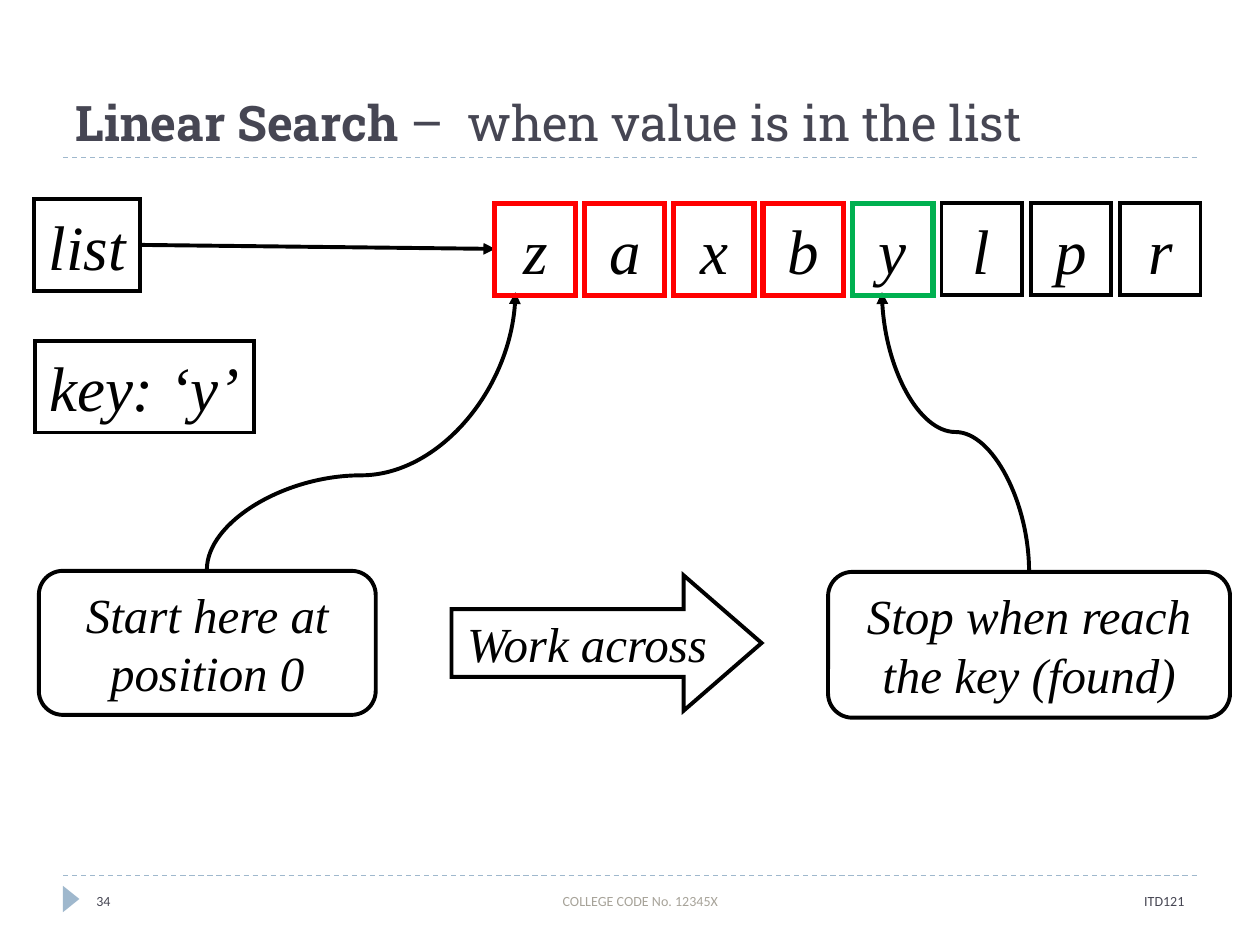
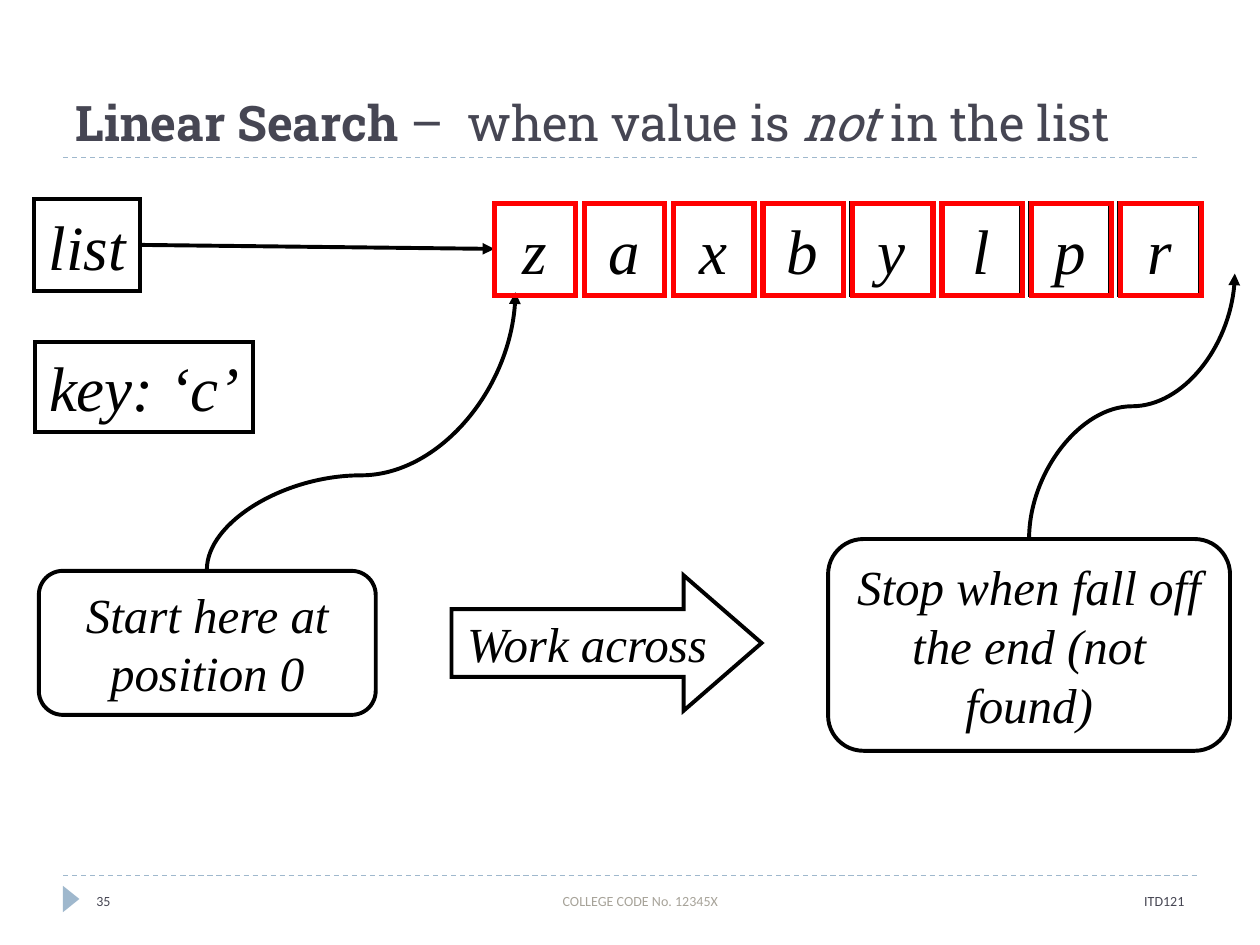
from dataclasses import dataclass

from lxml import etree
from pptx import Presentation
from pptx.dml.color import RGBColor
from pptx.enum.dml import MSO_LINE
from pptx.enum.shapes import MSO_CONNECTOR, MSO_SHAPE
from pptx.enum.text import MSO_ANCHOR, MSO_AUTO_SIZE, PP_ALIGN
from pptx.oxml.ns import qn
from pptx.util import Pt

RECT, ROUNDED = MSO_SHAPE.RECTANGLE, MSO_SHAPE.FLOWCHART_ALTERNATE_PROCESS
RIGHT_ARROW, TRIANGLE = MSO_SHAPE.RIGHT_ARROW, MSO_SHAPE.ISOSCELES_TRIANGLE
STRAIGHT, CURVE = MSO_CONNECTOR.STRAIGHT, MSO_CONNECTOR.CURVE
LEFT, CENTER, RIGHT = PP_ALIGN.LEFT, PP_ALIGN.CENTER, PP_ALIGN.RIGHT
MIDDLE, BOTTOM = MSO_ANCHOR.MIDDLE, MSO_ANCHOR.BOTTOM
NO_AUTOSIZE, DASH = MSO_AUTO_SIZE.NONE, MSO_LINE.DASH
LEFT_SIDE, RIGHT_SIDE = 1, 3

BLACK, SLATE, GREY, BLUE = "000000", "464653", "A7A399", "9FB8CD"
VISITED, FOUND = "FF0000", "00B050"
TITLE_FONT, DIAGRAM_FONT, FOOTER_FONT = "Roboto Slab", "Times New Roman", "Calibri"

LETTERS = "zaxbylpr"
CELL_TOP, CELL_WIDTH, CELL_HEIGHT, CELL_PITCH = 116, 46, 52.5, 51
MARK_LEFT, MARK_TOP, MARK_PITCH = 282.7, 116.5, 51.1


@dataclass
class Box:
    left: float
    top: float
    width: float
    height: float

    def lengths(self) -> tuple:
        return Pt(self.left), Pt(self.top), Pt(self.width), Pt(self.height)


@dataclass
class TitlePart:
    text: str
    bold: bool = False
    italic: bool = False


@dataclass
class FooterItem:
    text: str
    box: Box
    align: PP_ALIGN
    color: str = SLATE


@dataclass
class SearchSlide:
    number: str
    title: list[TitlePart]
    key: str
    key_box: Box
    cells_left: float
    marks: list[str]
    stop_text: str
    stop_box: Box
    stop_target: tuple[float, float]


SEARCHES = [
    SearchSlide(
        "34",
        [TitlePart("Linear Search ", bold=True),
         TitlePart("–  when value is in the list")],
        "key: ‘y’", Box(19.8, 194.7, 125.5, 52.5), 283,
        [VISITED] * 4 + [FOUND],
        "Stop when reach the key (found)", Box(473.2, 326.8, 229.7, 83.3), (504, 167)),
    SearchSlide(
        "35",
        [TitlePart("Linear Search ", bold=True),
         TitlePart("–  when value is "),
         TitlePart("not ", italic=True),
         TitlePart("in the list")],
        "key: ‘c’", Box(20.2, 195.2, 124.5, 51.5), 282.5,
        [VISITED] * 8,
        "Stop when fall off the end (not found)", Box(473.2, 308, 229.7, 121), (705.6, 156.3)),
]


def rgb(color: str) -> RGBColor:
    return RGBColor.from_string(color)


def style_font(run, font: str, size: float, color: str) -> None:
    run.font.name = font
    run.font.size = Pt(size)
    run.font.color.rgb = rgb(color)


def add_outline(slide, box: Box, text: str = "", kind=RECT, size: float = 36,
                color: str = BLACK, weight: float = 2.25, wrap: bool = False):
    """Draw an unfilled, sharp-cornered shape with optional centred italic text."""
    shape = slide.shapes.add_shape(kind, *box.lengths())
    shape.shadow.inherit = False
    shape.fill.background()
    shape.line.color.rgb = rgb(color)
    shape.line.width = Pt(weight)
    etree.SubElement(shape.element.spPr.find(qn("a:ln")), qn("a:miter"), lim="800000")
    if text:
        frame = shape.text_frame
        frame.text = text
        frame.word_wrap = wrap
        frame.vertical_anchor = MIDDLE
        paragraph = frame.paragraphs[0]
        paragraph.alignment = CENTER
        style_font(paragraph.runs[0], DIAGRAM_FONT, size, BLACK)
        paragraph.runs[0].font.italic = True
    return shape


def add_line(slide, kind, start: tuple, end: tuple, color: str = BLACK,
             weight: float = 2.25, arrow: bool = True):
    line = slide.shapes.add_connector(kind, *map(Pt, start + end))
    line.line.color.rgb = rgb(color)
    line.line.width = Pt(weight)
    properties = line.element.spPr
    if arrow:
        etree.SubElement(properties.find(qn("a:ln")), qn("a:tailEnd"), type="triangle")
    etree.SubElement(properties, qn("a:effectLst"))
    return line


def add_rising_curve(slide, start: tuple, end: tuple, bend: float = 0.5) -> None:
    """Draw an S-curve that leaves and arrives vertically: a level curve turned by 270°."""
    middle_x, middle_y = (start[0] + end[0]) / 2, (start[1] + end[1]) / 2
    half_rise, half_run = (start[1] - end[1]) / 2, (end[0] - start[0]) / 2
    curve = add_line(slide, CURVE, (middle_x - half_rise, middle_y - half_run),
                     (middle_x + half_rise, middle_y + half_run))
    properties = curve.element.spPr
    properties.find(qn("a:xfrm")).set("rot", str(270 * 60000))
    guides = properties.find(qn("a:prstGeom")).find(qn("a:avLst"))
    etree.SubElement(guides, qn("a:gd"), name="adj1", fmla=f"val {round(bend * 100000)}")


def add_title(slide, parts: list[TitlePart]) -> None:
    title = slide.shapes.title
    title.left, title.top, title.width, title.height = Box(36, 12.2, 648, 77.8).lengths()
    frame = title.text_frame
    frame.auto_size = NO_AUTOSIZE
    frame.word_wrap = True
    frame.vertical_anchor = BOTTOM
    paragraph = frame.paragraphs[0]
    paragraph.alignment = LEFT
    for part in parts:
        run = paragraph.add_run()
        run.text = part.text
        style_font(run, TITLE_FONT, 28, SLATE)
        run.font.bold = part.bold
        run.font.italic = part.italic


def add_frame(slide, number: str) -> None:
    """Draw the rules, the page marker and the footer shared by all slides."""
    for y in (500.4, 90):
        rule = add_line(slide, STRAIGHT, (36, y), (684, y), BLUE, 0.75, arrow=False)
        rule.line.dash_style = DASH
    marker = slide.shapes.add_shape(TRIANGLE, *Box(33.1, 509, 15.1, 9.4).lengths())
    marker.rotation = 90
    marker.shadow.inherit = False
    marker.fill.solid()
    marker.fill.fore_color.rgb = rgb(BLUE)
    marker.line.fill.background()

    footer = [
        FooterItem(number, Box(48, 500.4, 156, 28.8), LEFT),
        FooterItem("ITD121", Box(504, 500.4, 180, 28.8), RIGHT),
        FooterItem("COLLEGE CODE No. 12345X", Box(228, 500.4, 276, 28.8), CENTER, GREY),
    ]
    for item in footer:
        frame = slide.shapes.add_textbox(*item.box.lengths()).text_frame
        frame.text = item.text
        frame.word_wrap = True
        frame.vertical_anchor = MIDDLE
        paragraph = frame.paragraphs[0]
        paragraph.alignment = item.align
        style_font(paragraph.runs[0], FOOTER_FONT, 8, item.color)


def add_search(slide, search: SearchSlide) -> None:
    # List cells and the variable that refers to them
    cells = [
        add_outline(slide, Box(search.cells_left + i * CELL_PITCH, CELL_TOP,
                               CELL_WIDTH, CELL_HEIGHT), letter)
        for i, letter in enumerate(LETTERS)
    ]
    list_box = add_outline(slide, Box(19.7, 113.7, 60.5, 52.5), "list")
    reference = add_line(slide, STRAIGHT, (80.2, 139.95), (search.cells_left, 142.25))
    reference.begin_connect(list_box, RIGHT_SIDE)
    reference.end_connect(cells[0], LEFT_SIDE)
    add_outline(slide, search.key_box, search.key)

    # Start, direction and stop of the search
    add_outline(slide, Box(22.2, 326.2, 192.5, 82.3), "Start here at position 0",
                ROUNDED, 28, wrap=True)
    add_rising_curve(slide, (118.2, 325.5), (294.5, 167), bend=0.34)
    across = add_outline(slide, Box(258, 328.8, 177.2, 77.3), "Work across", RIGHT_ARROW, 28)
    across.adjustments[0], across.adjustments[1] = 0.5, 0.576
    stop = search.stop_box
    add_outline(slide, stop, search.stop_text, ROUNDED, 28, wrap=True)
    add_rising_curve(slide, (stop.left + stop.width / 2, stop.top), search.stop_target)

    # Marks on the cells already compared
    for i, color in enumerate(search.marks):
        add_outline(slide, Box(MARK_LEFT + i * MARK_PITCH, MARK_TOP, CELL_WIDTH, CELL_HEIGHT),
                    color=color, weight=3)


def main() -> None:
    deck = Presentation()
    deck.slide_width, deck.slide_height = Pt(720), Pt(540)
    title_only = deck.slide_layouts[5]
    for search in SEARCHES:
        slide = deck.slides.add_slide(title_only)
        add_frame(slide, search.number)
        add_title(slide, search.title)
        add_search(slide, search)
    deck.save("out.pptx")


if __name__ == "__main__":
    main()
